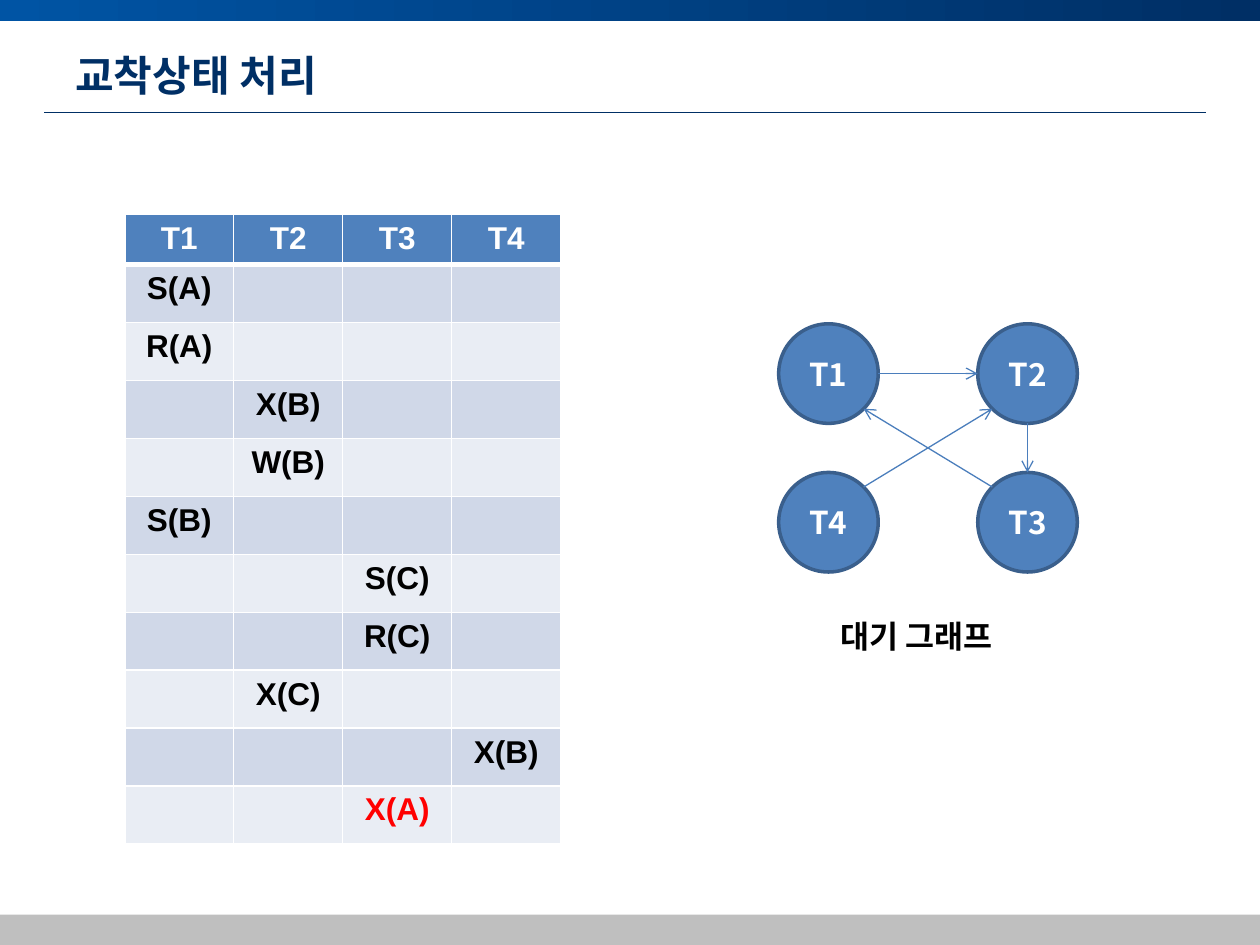
"""Build the deadlock handling slide with its schedule table and wait graph."""
from dataclasses import dataclass
from math import hypot

from lxml import etree
from pptx import Presentation
from pptx.dml.color import RGBColor
from pptx.enum.shapes import MSO_CONNECTOR, MSO_SHAPE
from pptx.enum.text import MSO_ANCHOR, PP_ALIGN
from pptx.oxml.ns import qn
from pptx.util import Inches, Pt

LINE = MSO_CONNECTOR.STRAIGHT
RECT, OVAL = MSO_SHAPE.RECTANGLE, MSO_SHAPE.OVAL
LEFT, CENTER = PP_ALIGN.LEFT, PP_ALIGN.CENTER
TOP, MIDDLE = MSO_ANCHOR.TOP, MSO_ANCHOR.MIDDLE
LATIN, KOREAN = "Arial", "Noto Sans CJK KR"
NAVY, BLUE, WHITE, BLACK, RED = "002F65", "4F81BD", "FFFFFF", "000000", "FF0000"
BANDS = ("D0D8E8", "E9EDF4")
SIZE, COL, HEAD, ROW = 0.79, 0.865, 0.39, 0.46


@dataclass(frozen=True)
class Step:
    col: int
    text: str
    color: str = BLACK


@dataclass(frozen=True)
class Node:
    name: str
    x: float
    y: float


STEPS = (
    Step(0, "S(A)"), Step(0, "R(A)"), Step(1, "X(B)"), Step(1, "W(B)"),
    Step(0, "S(B)"), Step(2, "S(C)"), Step(2, "R(C)"), Step(1, "X(C)"),
    Step(3, "X(B)"), Step(2, "X(A)", RED),
)
NODES = (
    Node("T1", 6.18, 2.57), Node("T2", 7.76, 2.57),
    Node("T3", 7.76, 3.75), Node("T4", 6.18, 3.75),
)
EDGES = (("T1", "T2"), ("T4", "T2"), ("T2", "T3"), ("T3", "T1"))


def rgb(color: str) -> RGBColor:
    return RGBColor.from_string(color)


def write(frame, text: str, color: str, font: str = LATIN, size: int = 18,
          align=CENTER) -> None:
    para = frame.paragraphs[0]
    para.alignment = align
    run = para.add_run()
    run.text = text
    run.font.name, run.font.size, run.font.bold = font, Pt(size), True
    run.font.color.rgb = rgb(color)
    etree.SubElement(run._r.get_or_add_rPr(), qn("a:ea"), typeface=KOREAN)


def label(slide, x: float, y: float, w: float, h: float, text: str, color: str,
          font: str, size: int, anchor) -> None:
    frame = slide.shapes.add_textbox(
        Inches(x), Inches(y), Inches(w), Inches(h)).text_frame
    frame.word_wrap, frame.vertical_anchor = True, anchor
    write(frame, text, color, font, size, LEFT)


def shape(slide, kind, x: float, y: float, w: float, h: float, color: str):
    item = slide.shapes.add_shape(kind, Inches(x), Inches(y), Inches(w), Inches(h))
    item.shadow.inherit = False
    item.fill.solid()
    item.fill.fore_color.rgb = rgb(color)
    item.line.fill.background()
    return item


def line(slide, x1: float, y1: float, x2: float, y2: float, color: str,
         width: float, arrow: bool = False) -> None:
    item = slide.shapes.add_connector(
        LINE, Inches(x1), Inches(y1), Inches(x2), Inches(y2))
    item.line.color.rgb, item.line.width = rgb(color), Pt(width)
    if arrow:
        etree.SubElement(item.line._get_or_add_ln(), qn("a:tailEnd"), type="arrow")
    etree.SubElement(item._element.spPr, qn("a:effectLst"))


def paint(cell, color: str, top: float, base: float) -> None:
    props = cell._tc.get_or_add_tcPr()
    for side, width in (("L", 1), ("R", 1), ("T", top), ("B", base)):
        edge = etree.SubElement(props, qn(f"a:ln{side}"), w=str(Pt(width)))
        fill = etree.SubElement(edge, qn("a:solidFill"))
        etree.SubElement(fill, qn("a:srgbClr"), val=WHITE)
    cell.fill.solid()
    cell.fill.fore_color.rgb = rgb(color)


def frame(slide) -> None:
    bar = shape(slide, RECT, 0, 0, 10, 0.17, NAVY)
    bar.fill.gradient()
    bar.fill.gradient_angle = 0
    for stop, color in zip(bar.fill.gradient_stops, ("0054A4", NAVY)):
        stop.color.rgb = rgb(color)
    line(slide, 0.35, 0.89, 9.57, 0.89, NAVY, 0.5)
    shape(slide, RECT, 0, 7.26, 10, 0.24, "BFBFBF")


def schedule(slide) -> None:
    count = len(STEPS)
    table = slide.shapes.add_table(
        count + 1, len(NODES), Inches(0.99), Inches(1.7),
        Inches(COL * len(NODES)), Inches(HEAD + ROW * count)).table
    table.first_row = table.horz_banding = False
    for col in table.columns:
        col.width = Inches(COL)
    for i, row in enumerate(table.rows):
        row.height = Inches(ROW if i else HEAD)
        for cell in row.cells:
            paint(cell, BANDS[(i - 1) % 2] if i else BLUE,
                  3 if i == 1 else 1, 1 if i else 3)
    for i, node in enumerate(NODES):
        write(table.cell(0, i).text_frame, node.name, WHITE)
    for i, step in enumerate(STEPS, 1):
        write(table.cell(i, step.col).text_frame, step.text, step.color)


def sign(num: float) -> int:
    return (num > 0) - (num < 0)


def graph(slide) -> None:
    for node in NODES:
        disc = shape(slide, OVAL, node.x, node.y, SIZE, SIZE, BLUE)
        disc.line.color.rgb, disc.line.width = rgb("3A5F8C"), Pt(2)
        disc.text_frame.vertical_anchor = MIDDLE
        write(disc.text_frame, node.name, WHITE, KOREAN)
    nodes = {node.name: node for node in NODES}
    half = SIZE / 2
    for start, end in EDGES:
        a, b = nodes[start], nodes[end]
        dx, dy = sign(b.x - a.x), sign(b.y - a.y)
        reach = half / hypot(dx, dy)
        line(slide, a.x + half + dx * reach, a.y + half + dy * reach,
             b.x + half - dx * reach, b.y + half - dy * reach,
             "4B7EBC", 0.75, True)


def main() -> None:
    deck = Presentation()
    deck.slide_width, deck.slide_height = Inches(10), Inches(7.5)
    slide = deck.slides.add_slide(deck.slide_layouts[6])
    frame(slide)
    label(slide, 0.5, 0.3, 9, 0.58, "교착상태 처리", NAVY, KOREAN, 24, MIDDLE)
    schedule(slide)
    graph(slide)
    label(slide, 6.57, 4.85, 1.65, 0.4, "대기 그래프", BLACK, LATIN, 18, TOP)
    deck.save("out.pptx")


main()
